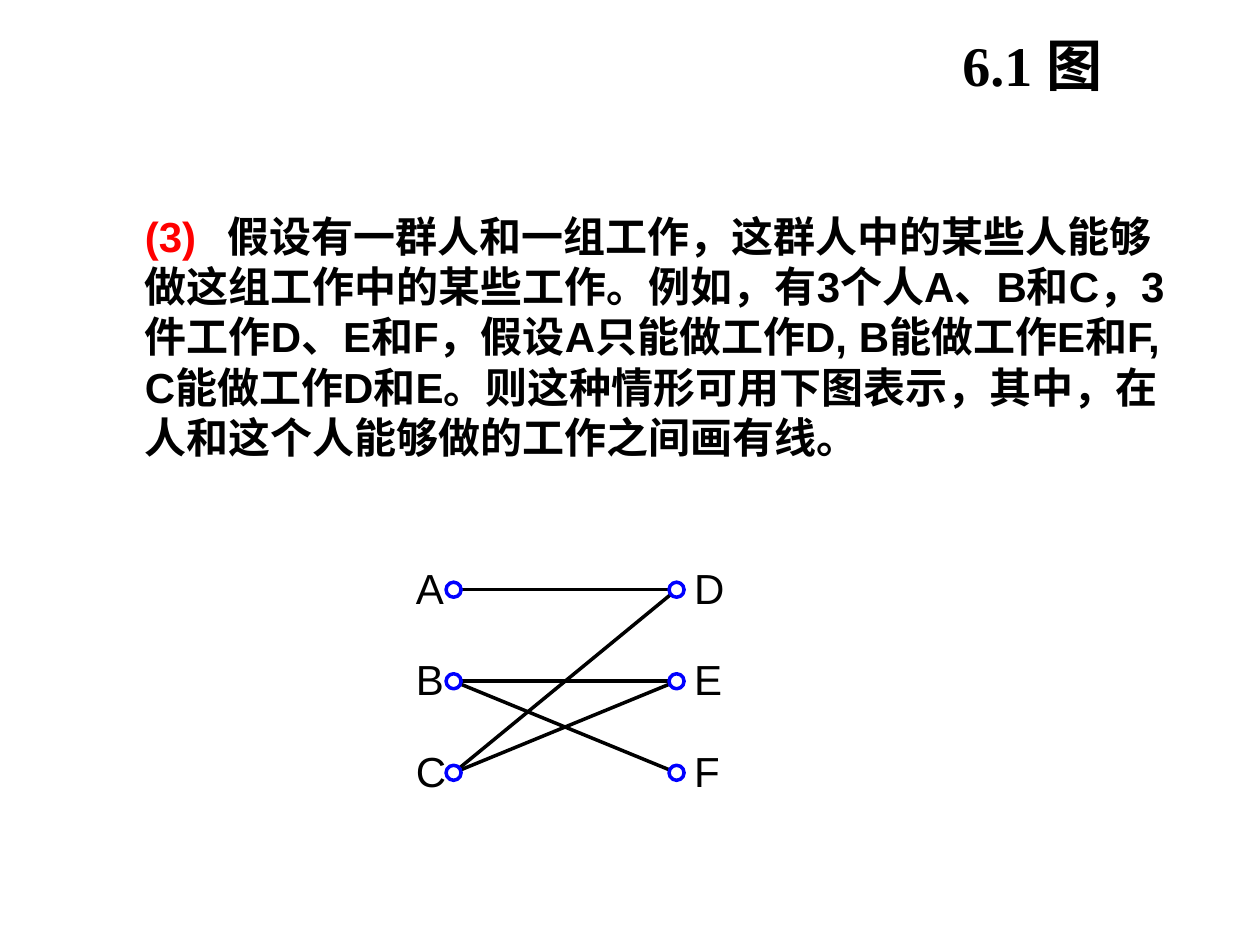
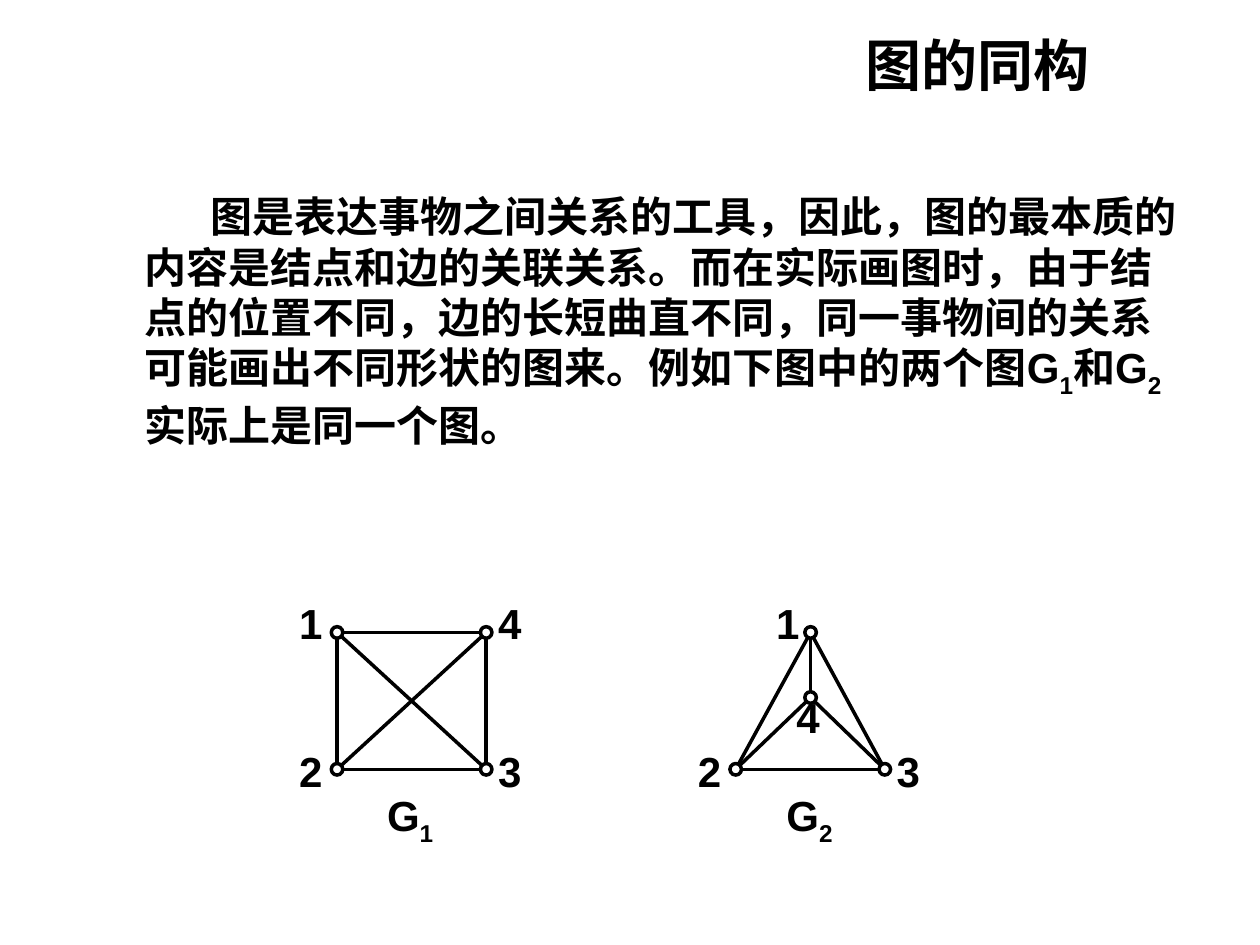
from pptx import Presentation
from pptx.dml.color import RGBColor
from pptx.enum.shapes import MSO_CONNECTOR, MSO_SHAPE
from pptx.enum.text import MSO_ANCHOR, PP_ALIGN
from pptx.oxml.ns import qn
from pptx.util import Pt
from lxml.etree import SubElement

color = RGBColor.from_string
BLACK, WHITE, RED, BLUE = "000000", "FFFFFF", "FF0000", "0000FF"
SUB = {"baseline": "-25000"}
TITLE = {"name": "Arial", "size": Pt(32), "bold": True}
BODY = {"name": "Arial", "size": Pt(24), "bold": True}
PLAIN = {**BODY, "bold": False}
TITLE_BOX = (163, 20, 467, 33)


def write(slide, box, runs, form, align=PP_ALIGN.LEFT, anchor=MSO_ANCHOR.TOP):
    """Add a text box; each run is (text, font changes, hex colour, XML attributes)."""
    frame = slide.shapes.add_textbox(*map(Pt, box)).text_frame
    frame.word_wrap = True
    frame.vertical_anchor = anchor
    for side in ("left", "top", "right", "bottom"):
        setattr(frame, f"margin_{side}", 0)
    para = frame.paragraphs[0]
    para.alignment = align
    for text, change, hue, extra in runs:
        run = para.add_run()
        run.text = text
        for key, value in {**form, **change}.items():
            setattr(run.font, key, value)
        run.font.color.rgb = color(hue)
        for key, value in extra.items():
            run._r.get_or_add_rPr().set(key, value)
    return para


def graph(slide, nodes, edges, size, hue, form, align):
    """Draw edges, then nodes; a node is (x, y, label left offset, label top offset)."""
    for start, end in edges:
        ends = nodes[start][:2] + nodes[end][:2]
        line = slide.shapes.add_connector(MSO_CONNECTOR.STRAIGHT, *map(Pt, ends))
        line.line.color.rgb = color(BLACK)
        line.line.width = Pt(2)
        SubElement(line._element.spPr, qn("a:effectLst"))
    for name, (x, y, dx, dy) in nodes.items():
        box = (x - size / 2, y - size / 2, size, size)
        dot = slide.shapes.add_shape(MSO_SHAPE.OVAL, *map(Pt, box))
        dot.shadow.inherit = False
        dot.fill.solid()
        dot.fill.fore_color.rgb = color(WHITE)
        dot.line.color.rgb = color(hue)
        dot.line.width = Pt(2)
        write(slide, (x + dx, y + dy, 21, 34), [(name, {}, BLACK, {})], form, align)


deck = Presentation()
deck.slide_width, deck.slide_height = Pt(720), Pt(540)
blank = deck.slide_layouts[6]

# People and jobs
jobs = deck.slides.add_slide(blank)
write(jobs, TITLE_BOX, [
    ("6.1 ", {"name": "Times New Roman"}, BLACK, {}),
    ("图", {"name": "Noto Sans CJK SC"}, BLACK, {}),
], TITLE, PP_ALIGN.RIGHT, MSO_ANCHOR.MIDDLE)
para = write(jobs, (82.8, 120, 593, 243), [
    ("(3)\t", {}, RED, {}),
    ("假设有一群人和一组工作，这群人中的某些人能够做这组工作中的某些工作。"
     "例如，有3个人A、B和C，3件工作D、E和F，假设A只能做工作D, B能做工作E和F, "
     "C能做工作D和E。则这种情形可用下图表示，其中，在人和这个人能够做的工作之间画有线。",
     {}, BLACK, {}),
], BODY)
tabs = SubElement(para._p.get_or_add_pPr(), qn("a:tabLst"))
SubElement(tabs, qn("a:tab"), pos=str(Pt(47)), algn="l")

nodes = {}
for names, x, dx in (("ABC", 259.2, -21.6), ("DEF", 386.6, 10)):
    for row, name in enumerate(names):
        nodes[name] = (x, 337 + 52.3 * row, dx, -15.8)
graph(jobs, nodes, ["AD", "BE", "BF", "CD", "CE"], 8.6, BLUE, PLAIN, PP_ALIGN.LEFT)

# Two drawings of one graph
same = deck.slides.add_slide(blank)
write(same, TITLE_BOX, [("图的同构 ", {}, BLACK, {})], TITLE,
      PP_ALIGN.RIGHT, MSO_ANCHOR.MIDDLE)
para = write(same, (82.8, 109, 593, 202), [
    ("图是表达事物之间关系的工具，因此，图的最本质的内容是结点和边的关联关系。"
     "而在实际画图时，由于结点的位置不同，边的长短曲直不同，"
     "同一事物间的关系可能画出不同形状的图来。例如下图中的两个图G", {}, BLACK, {}),
    ("1", {}, BLACK, SUB),
    ("和G", {}, BLACK, {}),
    ("2", {}, BLACK, SUB),
    ("实际上是同一个图。", {}, BLACK, {}),
], BODY)
para._p.get_or_add_pPr().set("indent", str(Pt(37.7)))

top, low = 361.4, 439.6
square = {"1": (192.6, top, -25.5, -20), "2": (192.6, low, -25.5, -13.4),
          "3": (277.8, low, 3, -13.4), "4": (277.8, top, 3, -20)}
fan = {"1": (463.2, top, -23.5, -20), "2": (420.4, low, -25.5, -13.4),
       "3": (505.6, low, 3, -13.4), "4": (463.2, 398.6, -12, -3.2)}
pairs = ["12", "13", "14", "23", "24", "34"]
for index, nodes, mid in (("1", square, 234.4), ("2", fan, 462.6)):
    graph(same, nodes, pairs, 6.6, BLACK, BODY, PP_ALIGN.CENTER)
    write(same, (mid - 21, 451.4, 42, 34),
          [("G", {}, BLACK, {}), (index, {}, BLACK, SUB)], BODY, PP_ALIGN.CENTER)

deck.save("out.pptx")
